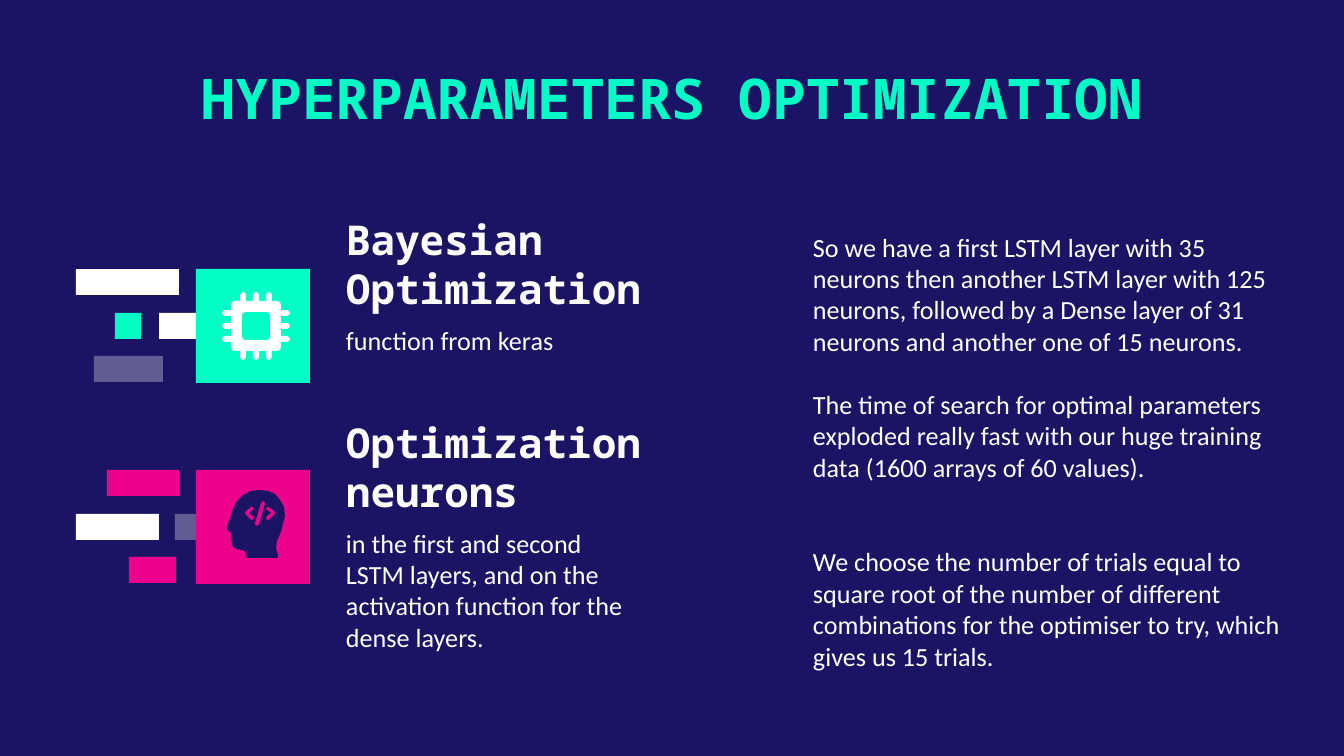
from lxml.etree import SubElement
from pptx import Presentation
from pptx.dml.color import RGBColor
from pptx.enum.shapes import MSO_SHAPE
from pptx.enum.text import MSO_ANCHOR, PP_ALIGN
from pptx.oxml.ns import qn
from pptx.util import Pt

PX = 914400 / 134.4
COLORS = {"navy": "1B1464", "mint": "00FFC5", "pink": "EC008C", "white": "FFFFFF"}
MONO, SANS = "Noto Sans Mono", "Calibri"
INSET = 13
TILE, BAR_HEIGHT = 114, 26
BAR_ROWS = (0, 44, 87)

# Bars beside each tile: left, row, width, colour, opacity in percent
MINT_BARS = [
    (159, 1, 48, "white", 100),
    (94, 2, 69, "white", 31),
    (76, 0, 103, "white", 100),
    (115, 1, 26, "mint", 100),
]
PINK_BARS = [
    (175, 1, 32, "white", 31),
    (107, 0, 72, "pink", 100),
    (76, 1, 83, "white", 100),
    (129, 2, 47, "pink", 100),
]

HEAD = [
    (259, 490), (251, 491), (243, 495), (237, 501), (233, 509), (231, 516),
    (227, 526), (227, 530), (230, 532), (231, 533), (231, 538), (233, 547),
    (236, 549), (241, 550), (245, 551), (246, 554), (246, 556), (247, 558),
    (277, 558), (278, 557), (278, 555), (276, 548), (277, 541), (281, 532),
    (285, 516), (284, 507), (280, 500), (275, 494), (268, 491),
]
LEFT_BRACKET = [
    (253, 507), (254, 509), (249, 513), (254, 517), (253, 520), (251, 520),
    (245, 514), (245, 512), (251, 507),
]
SLASH = [
    (263, 501), (265, 502), (265, 504), (259, 525), (257, 526), (255, 525),
    (255, 523), (261, 503),
]
BRACKET_MIRROR = 520

# Text and the space above it in points
NOTES = [
    ("So we have a first LSTM layer with 35 neurons then another LSTM layer with 125 "
     "neurons, followed by a Dense layer of 31 neurons and another one of 15 neurons.", 0),
    ("The time of search for optimal parameters exploded really fast with our huge "
     "training data (1600 arrays of 60 values).", 17),
    ("We choose the number of trials equal to square root of the number of different "
     "combinations for the optimiser to try, which gives us 15 trials.", 34),
]


def emu(*lengths):
    return [round(length * PX) for length in lengths]


def color(name):
    return RGBColor.from_string(COLORS[name])


def paint(shape, fill, opacity=100):
    shape.shadow.inherit = False
    shape.line.fill.background()
    shape.fill.solid()
    shape.fill.fore_color.rgb = color(fill)
    if opacity < 100:
        tint = shape.fill._xPr.find(".//" + qn("a:srgbClr"))
        SubElement(tint, qn("a:alpha"), val=str(opacity * 1000))


def add_block(slide, left, top, width, height, fill, opacity=100):
    block = slide.shapes.add_shape(MSO_SHAPE.RECTANGLE, *emu(left, top, width, height))
    paint(block, fill, opacity)


def add_tile(slide, top, fill, bars):
    for left, row, width, bar_fill, opacity in bars:
        add_block(slide, left, top + BAR_ROWS[row], width, BAR_HEIGHT, bar_fill, opacity)
    add_block(slide, 196, top, TILE, TILE, fill)


def add_icon(slide, contours, fill):
    first, *cutouts = contours
    outline = slide.shapes.build_freeform(*first[0], scale=PX)
    outline.add_line_segments(first[1:])
    for cutout in cutouts:
        outline.move_to(*cutout[0])
        outline.add_line_segments(cutout[1:])
    paint(outline.convert_to_shape(), fill)


def four_sides(side, center_x, center_y):
    """Repeat the top side, given around the centre, by quarter turns."""
    points = []
    for _ in range(4):
        points += [(center_x + x, center_y + y) for x, y in side]
        side = [(-y, x) for x, y in side]
    return points


def add_chip_icon(slide):
    pin = [(-3, -25), (-3, -31), (-2, -33), (0, -34), (2, -33), (3, -31), (3, -25)]
    body = [(-25, -21), (-24, -24), (-21, -25)]
    body += [(offset + x, y) for offset in (-13, 0, 13) for x, y in pin]
    core = [(-14, -11), (-13, -13), (-11, -14)]
    add_icon(slide, [four_sides(side, 256, 326) for side in (body, core)], "white")


def add_head_icon(slide):
    right_bracket = [(BRACKET_MIRROR - x, y) for x, y in LEFT_BRACKET]
    add_icon(slide, [HEAD, LEFT_BRACKET, right_bracket, SLASH], "navy")


def add_text(slide, box, paragraphs, size, font, fill="white", bold=False,
             align=PP_ALIGN.LEFT, anchor=MSO_ANCHOR.TOP, inset_top=0, inset_bottom=INSET):
    frame = slide.shapes.add_textbox(*emu(*box)).text_frame
    frame.word_wrap = True
    frame.vertical_anchor = anchor
    frame.margin_left, frame.margin_right = emu(INSET, INSET)
    frame.margin_top, frame.margin_bottom = emu(inset_top, inset_bottom)
    for index, (text, space_before) in enumerate(paragraphs):
        paragraph = frame.add_paragraph() if index else frame.paragraphs[0]
        paragraph.alignment = align
        paragraph.space_before = Pt(space_before)
        run = paragraph.add_run()
        run.text = text
        run.font.size = Pt(size)
        run.font.name = font
        run.font.bold = bold
        run.font.color.rgb = color(fill)


def add_topic(slide, bottom, width, heading, detail):
    add_text(slide, (333, bottom - 52, width, 52), [(heading, 0)], 22, MONO, bold=True,
             anchor=MSO_ANCHOR.BOTTOM, inset_bottom=0)
    add_text(slide, (333, bottom + 11, 319, 60), [(detail, 0)], 14, SANS)


def main():
    deck = Presentation()
    deck.slide_width, deck.slide_height = emu(1344, 756)
    slide = deck.slides.add_slide(deck.slide_layouts[6])
    slide.background.fill.solid()
    slide.background.fill.fore_color.rgb = color("navy")

    # Title
    add_text(slide, (188, 51, 968, 98), [("HYPERPARAMETERS OPTIMIZATION", 0)], 30, MONO,
             "mint", bold=True, align=PP_ALIGN.CENTER, inset_top=INSET)

    # Tiles with their icons
    add_tile(slide, 269, "mint", MINT_BARS)
    add_chip_icon(slide)
    add_tile(slide, 470, "pink", PINK_BARS)
    add_head_icon(slide)

    # Topics
    add_topic(slide, 313, 360, "Bayesian Optimization", "function from keras")
    add_topic(slide, 516, 340, "Optimization neurons",
              "in the first and second LSTM layers, and on the activation function "
              "for the dense layers.")

    # Notes on the search
    add_text(slide, (800, 231, 507, 520), NOTES, 14, SANS)

    deck.save("out.pptx")


if __name__ == "__main__":
    main()
